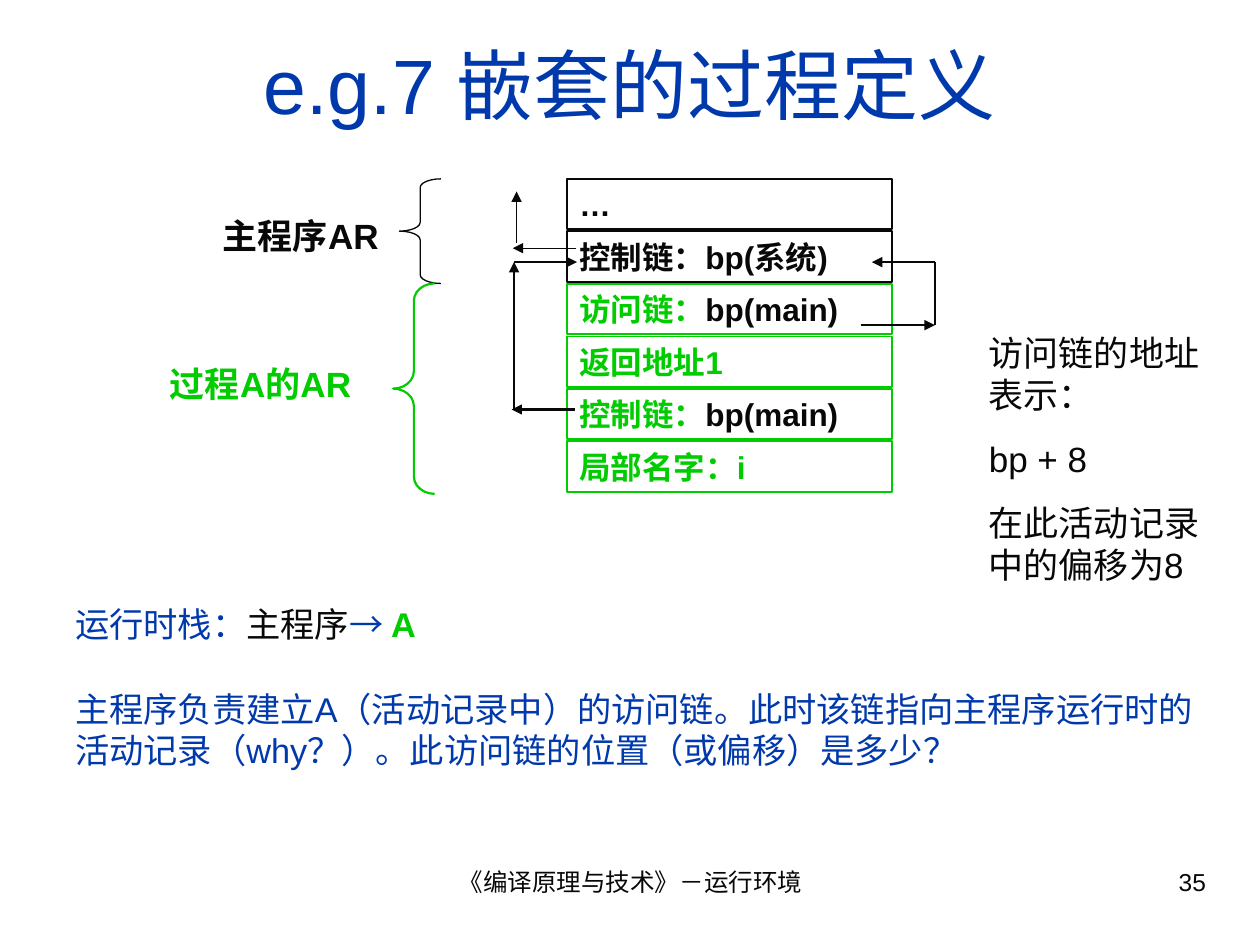
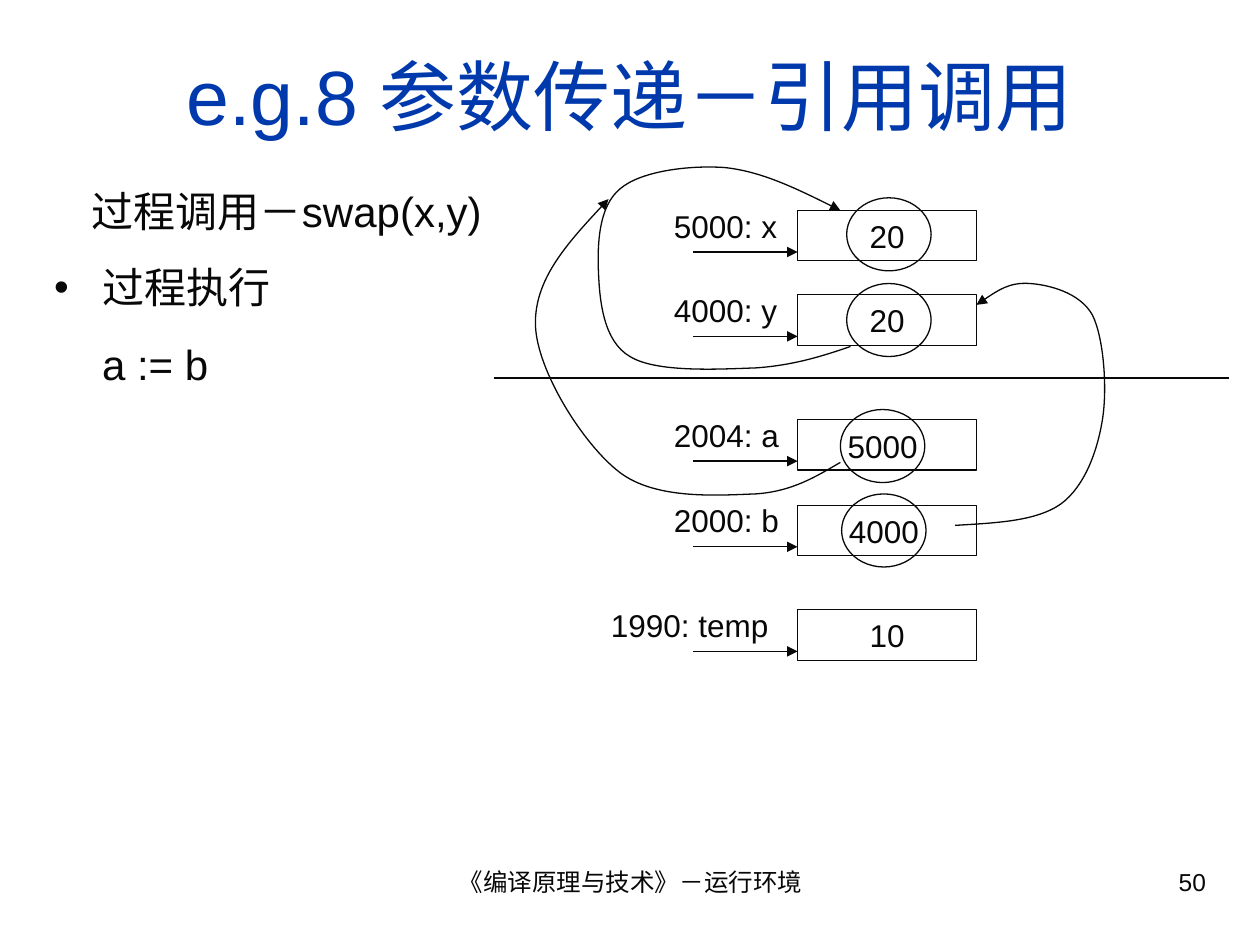
from lxml.etree import SubElement
from pptx import Presentation
from pptx.dml.color import RGBColor
from pptx.enum.shapes import MSO_CONNECTOR, MSO_SHAPE
from pptx.enum.text import MSO_ANCHOR, MSO_AUTO_SIZE, PP_ALIGN
from pptx.oxml.ns import qn
from pptx.util import Inches, Pt

INK, BLUE, GREEN = "080808", "0039AC", "00CC00"
FONT = "Arial"
FOOTER = "《编译原理与技术》－运行环境"
LEFT, CENTER, RIGHT = PP_ALIGN.LEFT, PP_ALIGN.CENTER, PP_ALIGN.RIGHT


def rgb(value):
    return RGBColor.from_string(value)


def write(p, text, size=18, color=INK, bold=False):
    r = p.add_run()
    r.text = text
    r.font.name = FONT
    r.font.size = Pt(size)
    r.font.bold = bold
    r.font.color.rgb = rgb(color)


def indent(p, left, bullet=None):
    pPr = p._p.get_or_add_pPr()
    pPr.set("marL", str(Inches(left)))
    pPr.set("indent", str(Inches(-left if bullet else 0)))
    if bullet:
        SubElement(pPr, qn("a:buChar")).set("char", bullet)
    else:
        SubElement(pPr, qn("a:buNone"))


def bend_lines(sp):
    outline = next(sp._element.iter(qn("a:path")))
    lines = outline.findall(qn("a:lnTo"))
    for i in range(0, len(lines), 3):
        cubic = SubElement(outline, qn("a:cubicBezTo"))
        for line in lines[i:i + 3]:
            cubic.append(line[0])
            outline.remove(line)


class Deck:
    """Hold the presentation, its shared style and the current slide."""

    def __init__(self):
        self.prs = Presentation()
        self.prs.slide_width, self.prs.slide_height = Inches(10), Inches(7.5)

    def new_slide(self, layout, title, number, title_height):
        self.s = self.prs.slides.add_slide(self.prs.slide_layouts[layout])
        sp = self.s.shapes.title
        self.place(sp, 0.33, 0.25, 9.34, title_height)
        tf = sp.text_frame
        tf.auto_size = MSO_AUTO_SIZE.NONE
        tf.vertical_anchor = MSO_ANCHOR.MIDDLE
        self.fill_text(tf, title, align=CENTER, size=44, color=BLUE)
        self.text(3.42, 6.83, 3.17, 0.52, FOOTER, align=CENTER, size=14)
        self.text(7.17, 6.83, 2.5, 0.52, str(number), align=RIGHT, size=14)

    def place(self, sp, x, y, w, h):
        sp.left, sp.top, sp.width, sp.height = map(Inches, (x, y, w, h))

    def fill_text(self, tf, content, align=LEFT, gap=0, **fmt):
        paragraphs = [[(content, {})]] if isinstance(content, str) else content
        for i, runs in enumerate(paragraphs):
            p = tf.add_paragraph() if i else tf.paragraphs[0]
            p.alignment = align
            p.space_before = Pt(gap if i else 0)
            for text, extra in runs:
                write(p, text, **{**fmt, **extra})

    def text(self, x, y, w, h, content, anchor=MSO_ANCHOR.TOP, inset=0.05, **fmt):
        sp = self.s.shapes.add_textbox(*map(Inches, (x, y, w, h)))
        tf = sp.text_frame
        tf.word_wrap = True
        tf.vertical_anchor = anchor
        tf.margin_top = Inches(inset)
        self.fill_text(tf, content, **fmt)

    def bullets(self, x, y, w, h, items, gap, size):
        sp = self.s.placeholders[1]
        self.place(sp, x, y, w, h)
        tf = sp.text_frame
        tf.auto_size = MSO_AUTO_SIZE.NONE
        for i, (text, left, bullet) in enumerate(items):
            p = tf.add_paragraph() if i else tf.paragraphs[0]
            p.space_before = Pt(gap if i else 0)
            indent(p, left, bullet)
            write(p, text, size=size)

    def outline(self, sp, color, width):
        sp.shadow.inherit = False
        sp.fill.background()
        sp.line.color.rgb = rgb(color)
        sp.line.width = Pt(width)

    def shape(self, kind, x, y, w, h, content="", line=INK, width=0.75, wrap=True, **fmt):
        sp = self.s.shapes.add_shape(kind, *map(Inches, (x, y, w, h)))
        self.outline(sp, line, width)
        if content:
            tf = sp.text_frame
            tf.word_wrap = wrap
            tf.vertical_anchor = MSO_ANCHOR.MIDDLE
            self.fill_text(tf, content, **fmt)
        return sp

    def brace(self, x, y, h, bend, color, width):
        sp = self.shape(MSO_SHAPE.LEFT_BRACE, x, y, 0.33, h, line=color, width=width)
        sp.adjustments[0] = bend

    def line(self, x1, y1, x2, y2, width=0.75, arrow=True):
        sp = self.s.shapes.add_connector(MSO_CONNECTOR.STRAIGHT,
                                         *map(Inches, (x1, y1, x2, y2)))
        sp.line.color.rgb = rgb(INK)
        sp.line.width = Pt(width)
        if arrow:
            self.arrowhead(sp)
        SubElement(sp._element.spPr, qn("a:effectLst"))

    def arrowhead(self, sp, end="a:tailEnd"):
        SubElement(sp.line._get_or_add_ln(), qn(end)).set("type", "triangle")

    def curve(self, start, *bends, end="a:tailEnd"):
        fb = self.s.shapes.build_freeform(*map(Inches, start))
        fb.add_line_segments([(Inches(x), Inches(y)) for bend in bends for x, y in bend],
                             close=False)
        sp = fb.convert_to_shape()
        bend_lines(sp)
        self.outline(sp, INK, 0.75)
        self.arrowhead(sp, end)


def nested_procedures(deck):
    deck.new_slide(5, "e.g.7 嵌套的过程定义", 35, 0.83)
    stack = [
        (INK, "…", ""),
        (INK, "控制链：bp(系统)", ""),
        (GREEN, "访问链：", "bp(main)"),
        (GREEN, "返回地址1", ""),
        (GREEN, "控制链：", "bp(main)"),
        (GREEN, "局部名字：i", ""),
    ]
    for i, (color, label, pointer) in enumerate(stack):
        runs = [(label, {"color": color})]
        if pointer:
            runs.append((pointer, {}))
        deck.shape(MSO_SHAPE.RECTANGLE, 4.5, 1.42 + i * 5 / 12, 2.58, 0.4, [runs],
                   line=color, width=1, bold=True)

    for *ends, width, arrow in [
        (4.56, 3.25, 4.06, 3.25, 1.25, True),
        (4.08, 3.25, 4.08, 2.08, 1.25, True),
        (4.08, 2.08, 4.58, 2.08, 1.25, True),
        (4.57, 1.97, 4.07, 1.97, 0.75, True),
        (4.1, 1.93, 4.1, 1.52, 0.75, True),
        (6.83, 2.58, 7.42, 2.58, 1, True),
        (7.42, 2.58, 7.42, 2.08, 1, False),
        (7.42, 2.08, 6.92, 2.08, 1, True),
    ]:
        deck.line(*ends, width=width, arrow=arrow)

    deck.brace(3.17, 1.42, 0.83, 0.21, INK, 0.75)
    deck.text(1.67, 1.65, 1.58, 0.44, "主程序AR", size=20, bold=True)
    deck.brace(3.12, 2.25, 1.67, 0.42, GREEN, 1.25)
    deck.text(1.25, 2.83, 1.92, 0.44, "过程A的AR", size=20, bold=True, color=GREEN)

    deck.text(0.5, 4.5, 9.34, 1.75, [
        [("运行时栈：", {}), ("主程序", {"color": INK}), ("→ ", {}),
         ("A", {"color": GREEN, "bold": True})],
        [("主程序负责建立A（活动记录中）的访问链。此时该链指向主程序运行时的"
          "活动记录（why？）。此访问链的位置（或偏移）是多少？", {})],
    ], anchor=MSO_ANCHOR.MIDDLE, inset=0.2, gap=25.5, size=19.6, color=BLUE)
    notes = ["访问链的地址表示：", "bp + 8", "在此活动记录中的偏移为8"]
    deck.text(7.75, 2.58, 2, 2.12, [[(note, {})] for note in notes], gap=12.5, size=20)


def call_by_reference(deck):
    deck.new_slide(1, "e.g.8 参数传递－引用调用", 50, 1)
    deck.bullets(0.33, 1.42, 3.83, 1.72, [
        ("过程调用－swap(x,y)", 0.3, None),
        ("过程执行", 0.38, "•"),
        ("a := b", 0.38, None),
    ], gap=15, size=24)

    for y, label, label_width, value in [
        (1.67, "5000: x", 1.08, "20"),
        (2.34, "4000: y", 1.08, "20"),
        (3.33, "2004: a", 1.08, ""),
        (4.01, "2000: b", 1.08, ""),
        (4.84, "1990: temp", 1.58, "10"),
    ]:
        deck.shape(MSO_SHAPE.RECTANGLE, 6.33, y, 1.42, 0.4, value, align=CENTER)
        deck.line(5.5, y + 0.33, 6.33, y + 0.33)
        deck.text(6.33 - label_width, y - 0.08, label_width, 0.4, label)

    deck.line(3.92, 3, 9.75, 3, arrow=False)
    for x, y, address in [(6.72, 1.57, ""), (6.72, 2.25, ""),
                          (6.67, 3.25, "5000"), (6.68, 3.92, "4000")]:
        deck.shape(MSO_SHAPE.OVAL, x, y, 0.67, 0.58, address, wrap=False, align=CENTER)

    deck.curve((7.75, 2.42),
               ((7.88, 2.33), (8.01, 2.24), (8.17, 2.25)),
               ((8.32, 2.26), (8.57, 2.32), (8.67, 2.5)),
               ((8.76, 2.68), (8.79, 3.08), (8.75, 3.33)),
               ((8.71, 3.58), (8.61, 3.86), (8.42, 4)),
               ((8.22, 4.14), (7.9, 4.15), (7.58, 4.17)), end="a:headEnd")
    deck.curve((6.75, 2.75),
               ((6.52, 2.83), (6.29, 2.9), (6, 2.92)),
               ((5.71, 2.93), (5.21, 2.96), (5, 2.83)),
               ((4.79, 2.71), (4.76, 2.39), (4.75, 2.17)),
               ((4.74, 1.94), (4.75, 1.64), (4.92, 1.5)),
               ((5.08, 1.36), (5.46, 1.31), (5.75, 1.33)),
               ((6.04, 1.36), (6.35, 1.51), (6.67, 1.67)))
    deck.curve((6.67, 3.67),
               ((6.48, 3.78), (6.29, 3.9), (6, 3.92)),
               ((5.71, 3.93), (5.21, 3.97), (4.92, 3.75)),
               ((4.63, 3.53), (4.26, 2.94), (4.25, 2.58)),
               ((4.24, 2.22), (4.53, 1.9), (4.83, 1.58)))


def main():
    deck = Deck()
    nested_procedures(deck)
    call_by_reference(deck)
    deck.prs.save("out.pptx")


if __name__ == "__main__":
    main()
